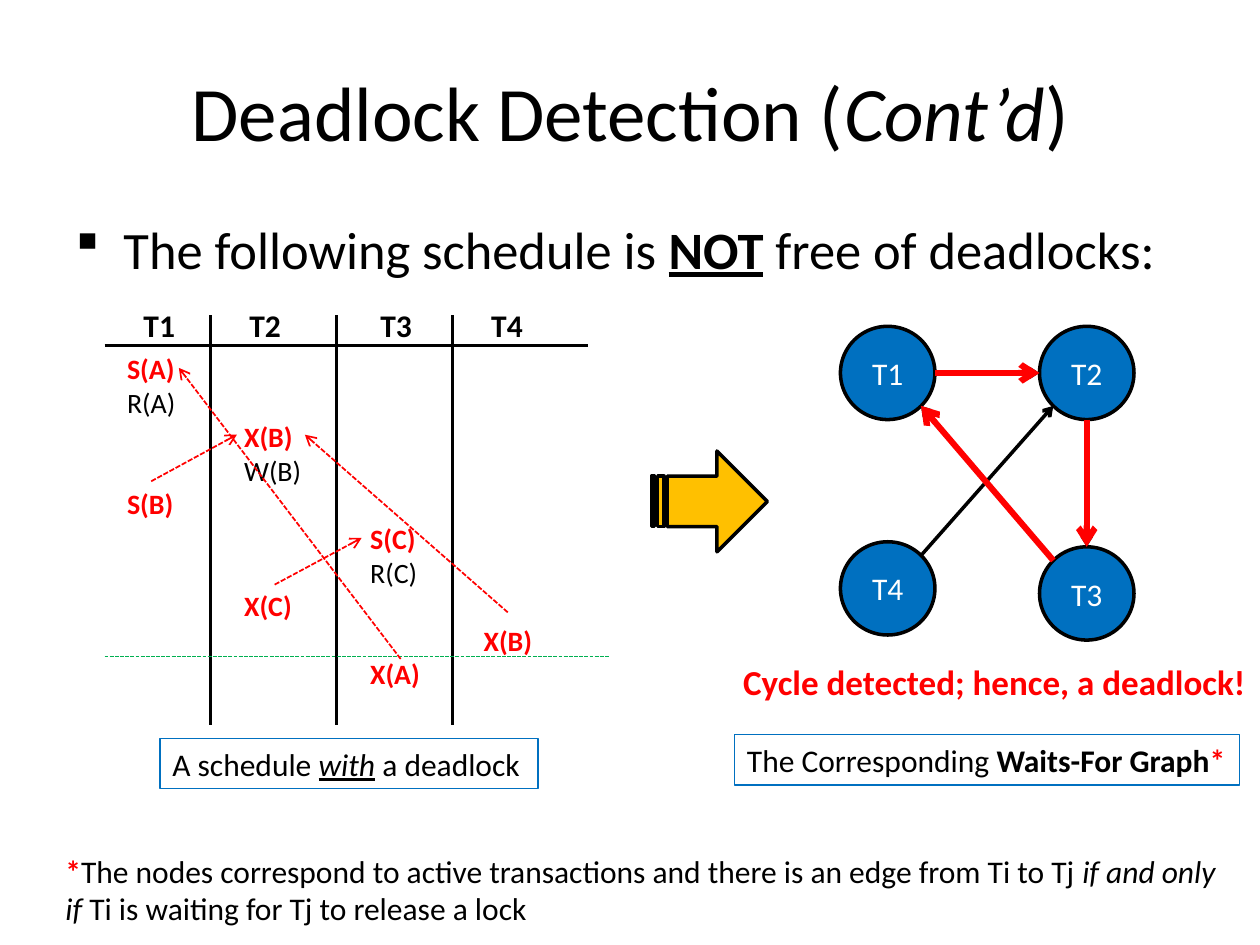
from math import cos, sin, radians
from pptx import Presentation
from pptx.dml.color import RGBColor
from pptx.enum import dml, shapes, text
from pptx.oxml.ns import qn
from pptx.util import Inches, Pt
from lxml import etree

# Theme
THEME = dict(font="Calibri", black="000000", red="FF0000", white="FFFFFF", blue="0070C0",
             gold="FFC000", green="00B050", title=44, body=30, verdict=20, label=18, op=16)
BOLD, ITALIC = dict(bold=True), dict(italic=True)
UNDER = dict(underline=True)
RED = dict(color="red", bold=True)

# Content: runs are (text, format)
TITLE = [("Deadlock Detection (", {}), ("Cont’d", ITALIC), (")", {})]
BODY = [("The following schedule is ", {}), ("NOT", BOLD | UNDER), (" free of deadlocks:", {})]
FOOTNOTE = [("*", RED),
            ("The nodes correspond to active transactions and there is an edge from Ti to Tj ", {}),
            ("if and only if", ITALIC), (" Ti is waiting for Tj to release a lock", {})]
CAPTIONS = [
    ((5.83, 5.83, 4.01, 0.4),
     [("The Corresponding ", {}), ("Waits-For Graph", BOLD), ("*", RED)]),
    ((1.27, 5.86, 3, 0.4),
     [("A schedule ", {}), ("with", ITALIC | UNDER), (" a deadlock", {})]),
]
VERDICT = [("Cycle detected; hence, a deadlock!", RED)]
# Schedule columns: name, header left, operations left, width, {row: operation}
SCHEDULE = [
    ("T1", 1.04, 0.91, 0.59, {0: "S(A)", 1: "R(A)", 4: "S(B)"}),
    ("T2", 1.88, 1.84, 0.66, {2: "X(B)", 3: "W(B)", 7: "X(C)"}),
    ("T3", 2.92, 2.84, 0.6, {5: "S(C)", 6: "R(C)", 9: "X(A)"}),
    ("T4", 3.8, 3.74, 0.59, {8: "X(B)"}),
]
LOCKS = "SX"  # lock requests are shown in red
ROW, FIRST_ROW = 0.27, 2.74
RULES_X = [1.67, 2.67, 3.59]
WAITS = [(1.2, 3.82, 1.88, 3.45), (2.18, 4.64, 2.87, 4.27),
         (4.03, 4.86, 2.42, 3.45), (3.18, 5.23, 1.42, 2.92)]
# Graph: node positions; edges join nodes at an angle (clockwise from the right)
NODES = {"T1": (6.67, 2.59), "T2": (8.25, 2.59), "T4": (6.67, 4.3), "T3": (8.25, 4.34)}
NODE_W, NODE_H = 0.75, 0.74
CYCLE = [("T1", 0, "T2", 180), ("T2", 90, "T3", 270), ("T3", 225, "T1", 45)]
EDGES = [("T4", 315, "T2", 135)] + CYCLE

prs = Presentation()
prs.slide_width, prs.slide_height = Inches(10), Inches(7.5)
slide = prs.slides.add_slide(prs.slide_layouts[1])


def rgb(name):
    return RGBColor.from_string(THEME[name])


def place(sp, box):
    for name, value in zip(("left", "top", "width", "height"), box):
        setattr(sp, name, Inches(value))


def add_runs(p, runs, size, color="black"):
    for words, fmt in runs:
        r = p.add_run()
        r.text = words
        fmt = dict(name=THEME["font"], size=Pt(THEME[size]), color=color) | fmt
        r.font.color.rgb = rgb(fmt.pop("color"))
        for name, value in fmt.items():
            setattr(r.font, name, value)


def set_frame(tf, wrap=False):
    tf.word_wrap = wrap
    tf.auto_size = text.MSO_AUTO_SIZE.SHAPE_TO_FIT_TEXT


def add_text(box, runs, size, wrap=False):
    sp = slide.shapes.add_textbox(*map(Inches, box))
    set_frame(sp.text_frame, wrap)
    add_runs(sp.text_frame.paragraphs[0], runs, size)
    return sp


def add_shape(kind, box, fill=None, line="black", width=2):
    sp = slide.shapes.add_shape(kind, *map(Inches, box))
    sp.shadow.inherit = False
    if fill:
        sp.fill.solid()
        sp.fill.fore_color.rgb = rgb(fill)
    else:
        sp.fill.background()
    sp.line.color.rgb = rgb(line)
    sp.line.width = Pt(width)
    return sp


def add_line(ends, color="black", width=1.5, dashed=False, arrow=False):
    c = slide.shapes.add_connector(shapes.MSO_CONNECTOR.STRAIGHT, *map(Inches, ends))
    c.line.color.rgb = rgb(color)
    c.line.width = Pt(width)
    if dashed:
        c.line.dash_style = dml.MSO_LINE.SQUARE_DOT
    if arrow:
        etree.SubElement(c.line._get_or_add_ln(), qn("a:tailEnd"), type="arrow")
    etree.SubElement(c._element.spPr, qn("a:effectLst"))


def site(node, angle):
    x, y = NODES[node]
    a = radians(angle)
    return x + NODE_W / 2 * (1 + cos(a)), y + NODE_H / 2 * (1 + sin(a))


# Title and bullet
title, body = slide.shapes.title, slide.placeholders[1]
place(title, (0.5, 0.25, 9, 1.25))
title.text_frame.vertical_anchor = text.MSO_ANCHOR.MIDDLE
add_runs(title.text_frame.paragraphs[0], TITLE, "title")
place(body, (0.5, 1.67, 9.25, 5.67))
p = body.text_frame.paragraphs[0]
add_runs(p, BODY, "body")
pPr = p._p.get_or_add_pPr()
pPr.set("marL", str(Inches(0.38)))
pPr.set("indent", str(-Inches(0.38)))
etree.SubElement(pPr, qn("a:buFont"), typeface="Wingdings")
etree.SubElement(pPr, qn("a:buChar"), char="§")

# Schedule grid
for x in RULES_X:
    add_line((x, 2.5, x, 5.75))
add_line((0.83, 2.74, 4.67, 2.74))

# Schedule columns, each operation on its time row
for name, head_x, x, w, ops in SCHEDULE:
    add_text((head_x, 2.38, 0.45, 0.4), [(name, BOLD)], "label")
    first, last = min(ops), max(ops)
    box = (x, FIRST_ROW + first * ROW, w, (last - first + 1) * ROW + 0.1)
    tf = add_text(box, [], "op").text_frame
    previous = first - 1
    for row, op in ops.items():
        p = tf.paragraphs[0] if row == first else tf.add_paragraph()
        p.space_before = Inches((row - previous - 1) * ROW)
        add_runs(p, [(op, RED if op[0] in LOCKS else {})], "op")
        previous = row

# Waits-for graph
add_shape(shapes.MSO_SHAPE.STRIPED_RIGHT_ARROW, (5.17, 3.58, 0.92, 0.8), "gold")
for name, (x, y) in NODES.items():
    sp = add_shape(shapes.MSO_SHAPE.OVAL, (x, y, NODE_W, NODE_H), "blue")
    sp.text_frame.vertical_anchor = text.MSO_ANCHOR.MIDDLE
    p = sp.text_frame.paragraphs[0]
    p.alignment = text.PP_ALIGN.CENTER
    add_runs(p, [(name, {})], "label", "white")
for edges, color, width in ((EDGES, "black", 2), (CYCLE, "red", 3.5)):
    for a, a_angle, b, b_angle in edges:
        add_line(site(a, a_angle) + site(b, b_angle), color, width, arrow=True)

# Footnote, captions and verdict
add_text((0.42, 6.71, 9.42, 0.71), FOOTNOTE, "label", wrap=True)
for box, runs in CAPTIONS:
    sp = add_shape(shapes.MSO_SHAPE.RECTANGLE, box, line="blue", width=0.75)
    set_frame(sp.text_frame)
    p = sp.text_frame.paragraphs[0]
    p.alignment = text.PP_ALIGN.LEFT
    add_runs(p, runs, "label")
add_text((5.8, 5.19, 4.23, 0.44), VERDICT, "verdict")

# Deadlock moment and waiting arrows
add_line((0.83, 5.21, 4.83, 5.21), "green", 0.75, dashed=True)
for ends in WAITS:
    add_line(ends, "red", 1, dashed=True, arrow=True)

prs.save("out.pptx")
